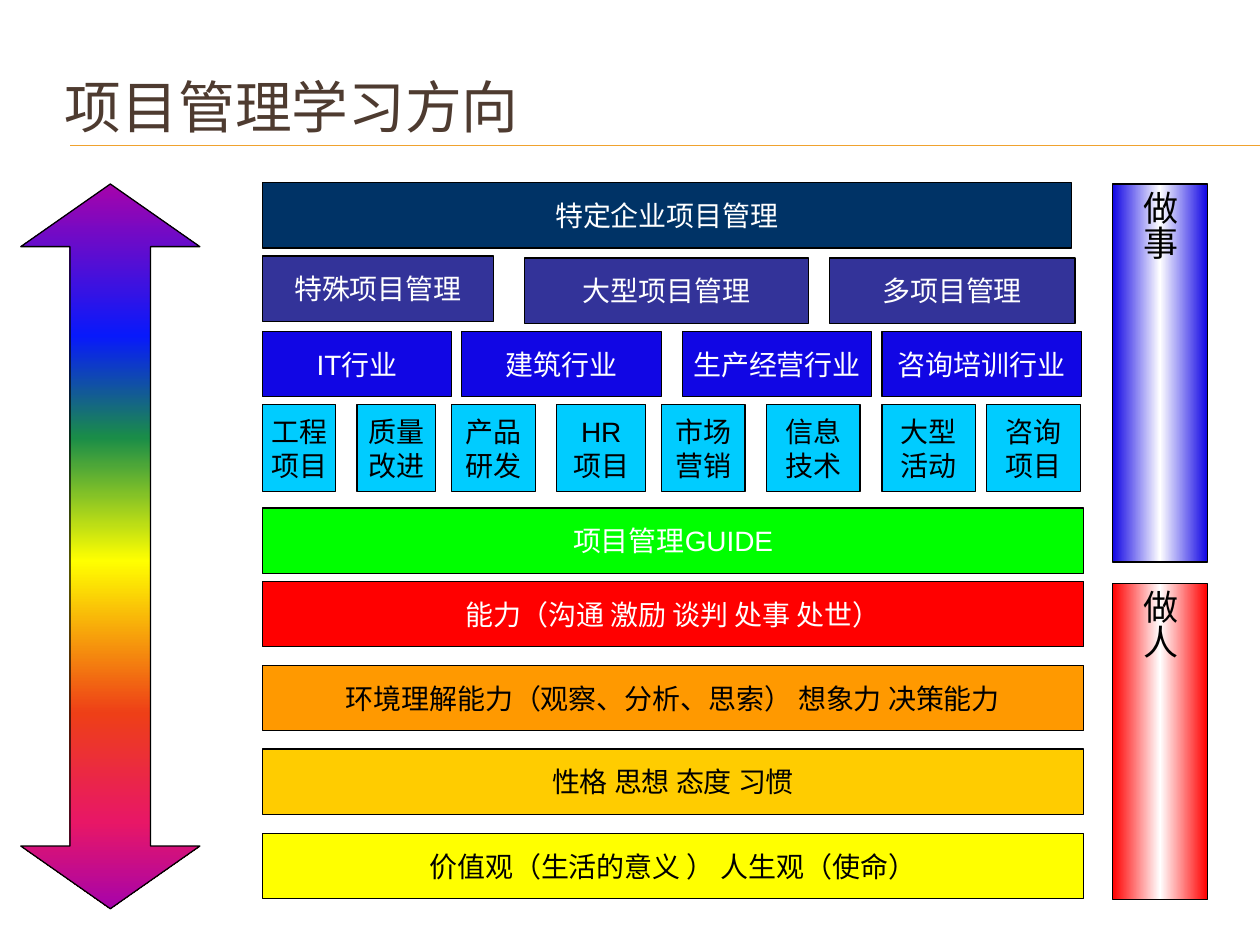
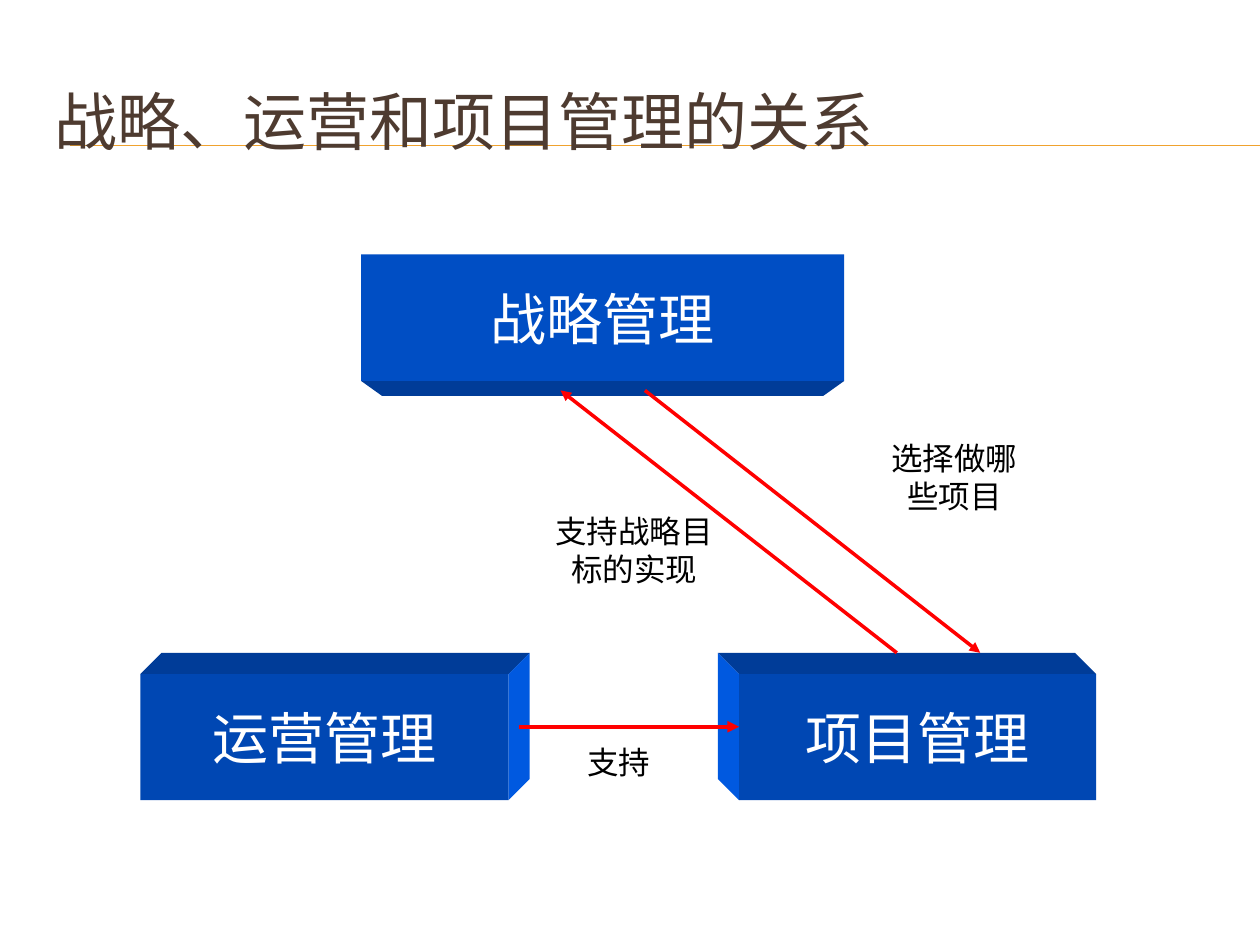
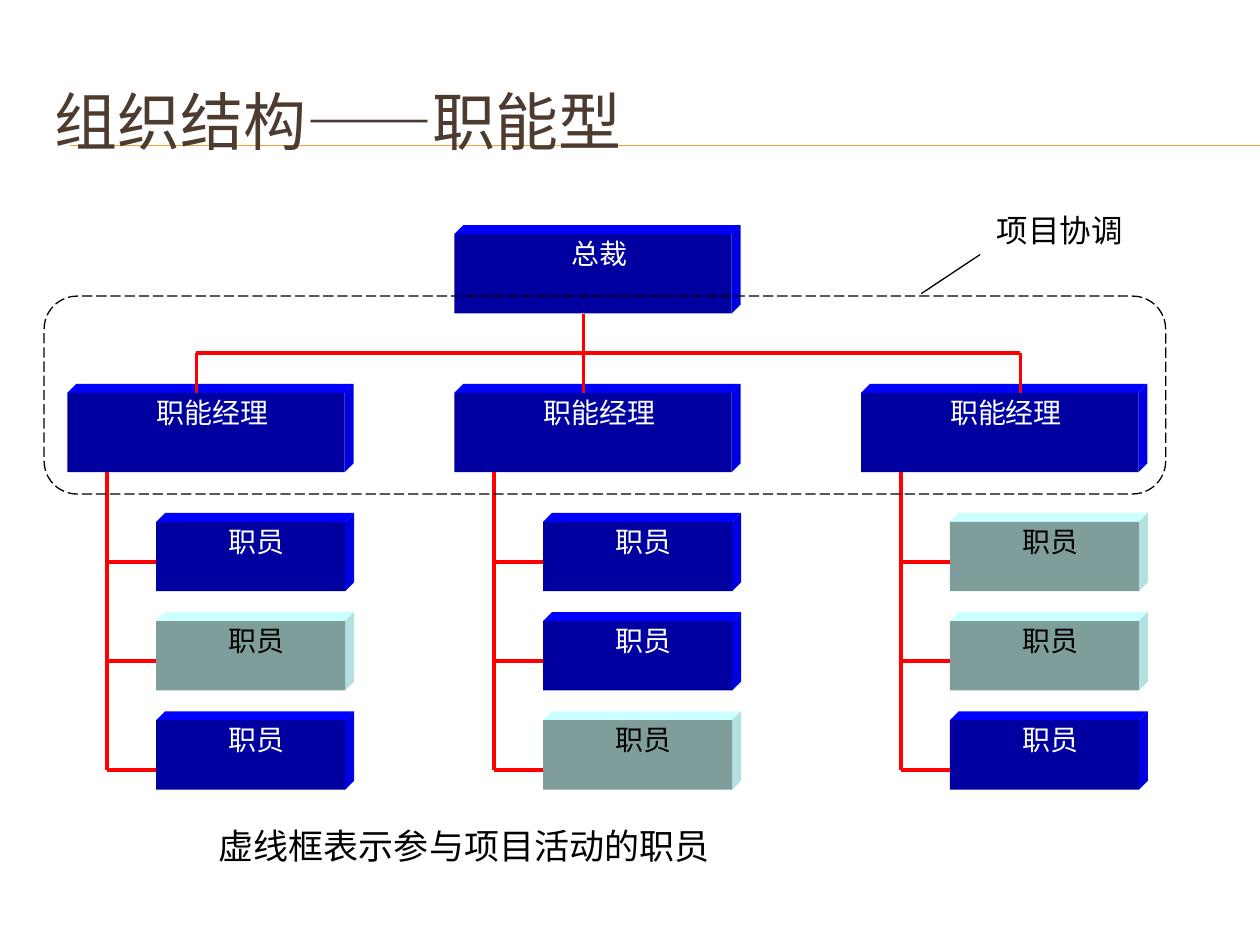
from lxml import etree
from pptx import Presentation
from pptx.dml.color import RGBColor
from pptx.enum import dml, shapes, text
from pptx.oxml.ns import qn
from pptx.util import Cm, Pt

# Shared style
COLORS = {
    "title": "4E3B30", "rule": "F0A22E", "black": "000000", "white": "FFFFFF",
    "red": "FF0000", "navy": "003366", "indigo": "333399", "blue": "1106E4",
    "cyan": "00CCFF", "green": "00FF00", "orange": "FF9900", "gold": "FFCC00",
    "yellow": "FFFF00",
}
# Solid blocks: front, top or bottom, side, text
MATERIALS = {
    "strategy": ("004EC4", "003C98", "0059E0", "FFFFFF"),
    "work": ("0047B3", "003C98", "0059E0", "FFFFFF"),
    "dark": ("0000A0", "0000FF", "0000E0", "FFFFFF"),
    "pale": ("7F9D9B", "CCFFFF", "B3E0E0", "000000"),
}
INSETS = (0.25, 0.13, 0.25, 0.13)
RULE_LEFT, RULE_TOPS, SLIDE_W, SLIDE_H = 1.42, (2.93, 2.94), 25.4, 19.05

# Slide 1 content: top, height, fill, text colour, [(left, width, lines)]
LEFT, FULL, BAR_H = 5.29, 16.56, 1.32
LAYERS = [
    (16.8, BAR_H, "yellow", "black", [(LEFT, FULL, ["价值观（生活的意义 ） 人生观（使命）"])]),
    (15.1, BAR_H, "gold", "black", [(LEFT, FULL, ["性格 思想 态度 习惯"])]),
    (13.41, BAR_H, "orange", "black",
     [(LEFT, FULL, ["环境理解能力（观察、分析、思索） 想象力 决策能力"])]),
    (11.72, BAR_H, "red", "white", [(LEFT, FULL, ["能力（沟通 激励 谈判 处事 处世）"])]),
    (10.24, BAR_H, "green", "white", [(LEFT, FULL, ["项目管理GUIDE"])]),
    (8.16, 1.75, "cyan", "black", [
        (LEFT, 1.48, ["工程", "项目"]), (7.2, 1.58, ["质量", "改进"]),
        (9.1, 1.69, ["产品", "研发"]), (11.22, 1.8, ["HR", "项目"]),
        (13.33, 1.69, ["市场", "营销"]), (15.45, 1.89, ["信息", "技术"]),
        (17.78, 1.89, ["大型", "活动"]), (19.89, 1.89, ["咨询", "项目"])]),
    (6.68, BAR_H, "blue", "white", [
        (LEFT, 3.81, ["IT行业"]), (9.31, 4.02, ["建筑行业"]),
        (13.76, 3.81, ["生产经营行业"]), (17.78, 4.02, ["咨询培训行业"])]),
    (5.16, BAR_H, "indigo", "white", [(LEFT, 4.66, ["特殊项目管理"])]),
    (5.2, BAR_H, "indigo", "white",
     [(10.58, 5.72, ["大型项目管理"]), (16.72, 4.95, ["多项目管理"])]),
    (3.68, BAR_H, "navy", "white", [(LEFT, 16.31, ["特定企业项目管理"])]),
]
RAINBOW = [(0, "A603AB"), (21, "0819FB"), (35, "1A8D48"), (52, "FFFF00"),
           (73, "EE3F17"), (88, "E81766"), (100, "A603AB")]
ARROW_SHAPE = {"adj1": 45000, "adj2": 35000}  # shaft width, head length
PILLARS = [(11.76, 6.38, "red", "做人"), (3.71, 7.62, "blue", "做事")]

# Slide 2 content: box, material, back face offsets (left, top, right, bottom)
SHIFT = 0.43
AREAS = [
    ("战略管理", (7.28, 5.13, 9.74, 2.55), "strategy", (0.42, 0.42, -0.42, 0.3)),
    ("项目管理", (14.9, 13.59, 7.2, 2.54), "work", (-SHIFT,) * 4),
    ("运营管理", (2.83, 13.59, 7.42, 2.54), "work", (SHIFT, -SHIFT) * 2),
]
ARROWS = [((10.46, 14.65), (14.9, 14.65), 2.25),
          ((13, 7.87), (19.76, 13.16), 2),
          ((18.08, 13.16), (11.3, 7.87), 2)]
LABELS = [("选择做哪些项目", (17.65, 8.72, 3.18, 1.78)),
          ("支持战略目标的实现", (10.88, 10.2, 3.81, 1.78)),
          ("支持", (10.88, 14.85, 3.18, 1.02))]

# Slide 3 content: manager left, line drop above it, staff materials
DEPARTMENTS = [(1.36, 3.96, ("dark", "pale", "dark")),
               (9.16, 11.76, ("dark", "dark", "pale")),
               (17.36, 20.57, ("pale", "pale", "dark"))]
BOX_W, BOX_H, STAFF_W, STAFF_H = 5.59, 1.6, 3.81, 1.4
PRESIDENT_TOP, BUS_Y, MANAGER_TOP, STAFF_TOP, STAFF_STEP = 4.72, 7.12, 7.92, 10.52, 2
STAFF_INDENT, SPINE_INDENT, BRANCH_YS = 1.79, 0.8, (11.33, 13.33, 15.52)
ORG_BACK = (0.18, -0.18) * 2
ORG_INSETS = (0.3, 0.05, 0.05, 0.05)


def rgb(name):
    return RGBColor.from_string(COLORS.get(name, name))


def write(sp, lines, size, color, font="Arial", align="CENTER", anchor="TOP",
          wrap=True, insets=INSETS):
    tf = sp.text_frame
    tf.word_wrap = wrap
    tf.vertical_anchor = getattr(text.MSO_ANCHOR, anchor)
    tf.margin_left, tf.margin_top, tf.margin_right, tf.margin_bottom = map(Cm, insets)
    for i, line in enumerate(lines):
        p = tf.add_paragraph() if i else tf.paragraphs[0]
        p.alignment = getattr(text.PP_ALIGN, align)
        r = p.add_run()
        r.text = line
        r.font.name, r.font.size = font, Pt(size)
        r.font.color.rgb = rgb(color)


def textbox(s, box, line, size, color="black", **style):
    write(s.shapes.add_textbox(*map(Cm, box)), [line], size, color, **style)


def paint(sp, fill=None, line=None):
    sp.shadow.inherit = False
    if fill:
        sp.fill.solid()
        sp.fill.fore_color.rgb = rgb(fill)
    else:
        sp.fill.background()
    if line:
        sp.line.color.rgb, sp.line.width = rgb(line), Pt(0.75)
    else:
        sp.line.fill.background()


def shape(s, kind, box, fill=None, line=None):
    sp = s.shapes.add_shape(getattr(shapes.MSO_SHAPE, kind), *map(Cm, box))
    paint(sp, fill, line)
    return sp


def gradient(sp, stops, angle):
    sp.fill.gradient()
    sp.fill.gradient_angle = angle
    gs_list = sp._element.spPr.find(".//" + qn("a:gsLst"))
    for gs in list(gs_list):
        gs_list.remove(gs)
    for percent, color in stops:
        gs = etree.SubElement(gs_list, qn("a:gs"), pos=str(percent * 1000))
        etree.SubElement(gs, qn("a:srgbClr"), val=COLORS.get(color, color))


def adjust(sp, guides):
    """Set the guides by name, as the library names both of this arrow's alike."""
    av_list = sp._element.spPr.find(".//" + qn("a:avLst"))
    for gd in list(av_list):
        av_list.remove(gd)
    for name, value in guides.items():
        etree.SubElement(av_list, qn("a:gd"), name=name, fmla=f"val {value}")


def line(s, start, end, color="red", width=2.0, arrow=False):
    c = s.shapes.add_connector(shapes.MSO_CONNECTOR.STRAIGHT, *map(Cm, start + end))
    c.line.color.rgb, c.line.width = rgb(color), Pt(width)
    if arrow:
        etree.SubElement(c.line._get_or_add_ln(), qn("a:tailEnd"), type="triangle")
    etree.SubElement(c._element.spPr, qn("a:effectLst"))


def block(s, box, label, material, back, size, **style):
    """Rectangle with the faces that show between it and its shifted back."""
    front_color, cap, side, ink = MATERIALS[material]
    x, y, w, h = box
    edges = (x, y, x + w, y + h)
    corners = [[(l, t), (r, t), (r, b), (l, b)] for l, t, r, b in
               (edges, [e + d for e, d in zip(edges, back)])]
    dl, dt, dr, db = back
    visible = [(dt < 0, cap), (dr > 0, side), (db > 0, cap), (dl < 0, side)]
    for i, (shows, color) in enumerate(visible):
        if shows:
            j = (i + 1) % 4
            face = [corners[0][i], corners[0][j], corners[1][j], corners[1][i]]
            points = [(Cm(px), Cm(py)) for px, py in face]
            ff = s.shapes.build_freeform(*points[0])
            ff.add_line_segments(points[1:], close=True)
            paint(ff.convert_to_shape(), color)
    write(shape(s, "RECTANGLE", box, front_color), [label], size, ink, **style)


def new_slide(prs, title, box=(0.84, 1.25, 24.13, 2.34), size=36):
    s = prs.slides.add_slide(prs.slide_layouts[6])
    for y in RULE_TOPS:
        line(s, (RULE_LEFT, y), (SLIDE_W, y), "rule", 0.75)
    textbox(s, box, title, size, "title", font="Roboto", align="LEFT", anchor="MIDDLE")
    return s


def learning_slide(prs):
    s = new_slide(prs, "项目管理学习方向", (1.06, 1.35, 17.58, 1.57), 32.4)
    for top, height, fill, ink, cells in LAYERS:
        for left, width, lines in cells:
            sp = shape(s, "RECTANGLE", (left, top, width, height), fill, "black")
            write(sp, lines, 16, ink, anchor="MIDDLE", wrap=False)
    sp = shape(s, "UP_DOWN_ARROW", (0.42, 3.71, 3.61, 14.61), line="black")
    adjust(sp, ARROW_SHAPE)
    gradient(sp, RAINBOW, 270)
    for top, height, color, label in PILLARS:
        sp = shape(s, "RECTANGLE", (22.43, top, 1.91, height), line="black")
        gradient(sp, [(0, color), (50, "white"), (100, color)], 0)
        write(sp, [label], 20, "black", anchor="MIDDLE", wrap=False)
        sp.text_frame._txBody.bodyPr.set("vert", "eaVert")


def relation_slide(prs):
    s = new_slide(prs, "战略、运营和项目管理的关系")
    for label, box, material, back in AREAS:
        block(s, box, label, material, back, 32, anchor="MIDDLE", wrap=False)
    for start, end, width in ARROWS:
        line(s, start, end, width=width, arrow=True)
    for label, box in LABELS:
        textbox(s, box, label, 18)


def organisation_slide(prs):
    s = new_slide(prs, "组织结构——职能型")

    def post(label, material, *box):
        block(s, box, label, material, ORG_BACK, 16, insets=ORG_INSETS)

    # Posts
    post("总裁", "dark", DEPARTMENTS[1][0], PRESIDENT_TOP, BOX_W, BOX_H)
    for left, _, staff in DEPARTMENTS:
        post("职能经理", "dark", left, MANAGER_TOP, BOX_W, BOX_H)
        for i, material in enumerate(staff):
            post("职员", material, left + STAFF_INDENT, STAFF_TOP + i * STAFF_STEP,
                 STAFF_W, STAFF_H)

    # Reporting lines
    drops = [drop for _, drop, _ in DEPARTMENTS]
    line(s, (drops[0], BUS_Y), (drops[-1], BUS_Y))
    line(s, (drops[1], PRESIDENT_TOP + BOX_H), (drops[1], BUS_Y))
    for left, drop, _ in DEPARTMENTS:
        line(s, (drop, BUS_Y), (drop, MANAGER_TOP))
        spine = left + SPINE_INDENT
        line(s, (spine, MANAGER_TOP + BOX_H), (spine, BRANCH_YS[-1]))
        for y in BRANCH_YS:
            line(s, (spine, y), (left + STAFF_INDENT, y))

    # Coordination frame and notes
    line(s, (18.57, 5.92), (19.76, 5.13), "black", 0.75)
    frame = shape(s, "ROUNDED_RECTANGLE", (0.89, 5.97, 22.61, 3.99), line="black")
    frame.line.dash_style = dml.MSO_LINE.LONG_DASH
    textbox(s, (19.76, 4.12, 3.2, 1.02), "项目协调", 18, font="Lato")
    textbox(s, (4.28, 16.62, 17.35, 1.09), "虚线框表示参与项目活动的职员", 20,
            align="LEFT", insets=(0.13, 0, 0.13, 0))


def main():
    prs = Presentation()
    prs.slide_width, prs.slide_height = Cm(SLIDE_W), Cm(SLIDE_H)
    learning_slide(prs)
    relation_slide(prs)
    organisation_slide(prs)
    prs.save("out.pptx")


if __name__ == "__main__":
    main()
